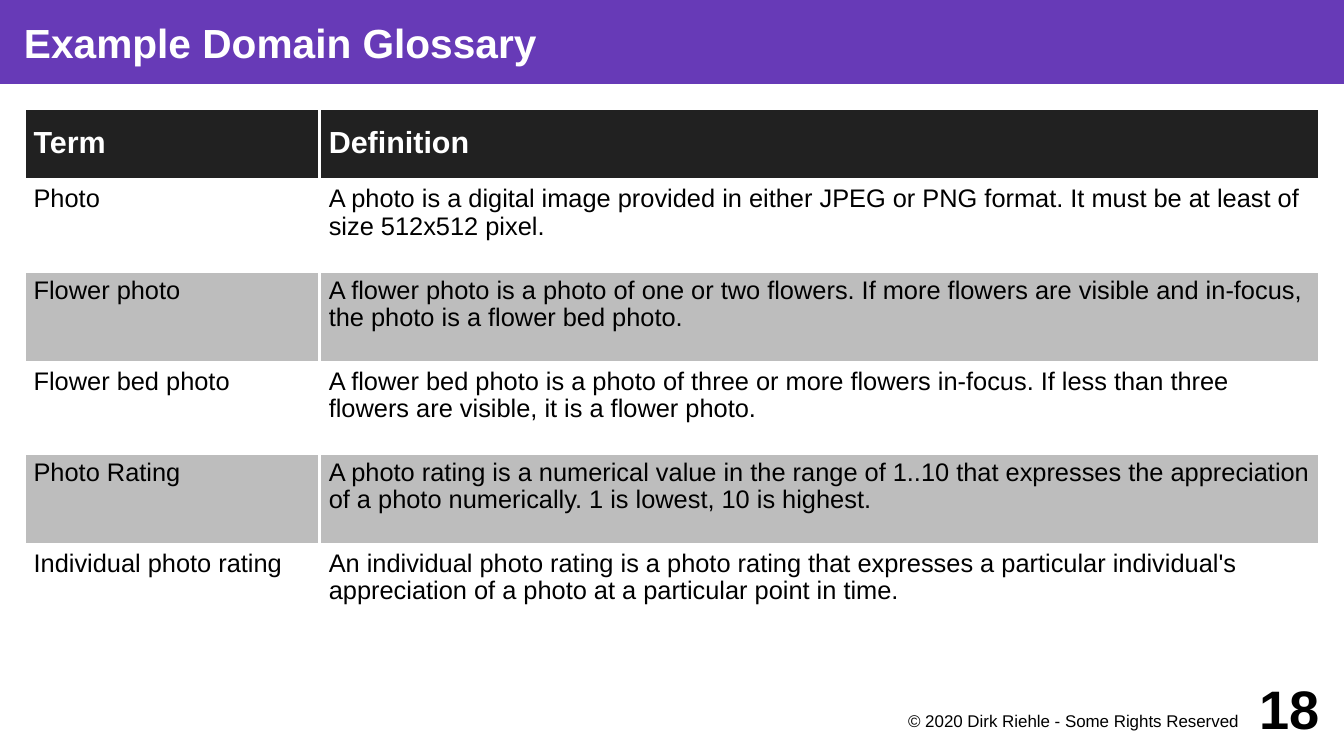
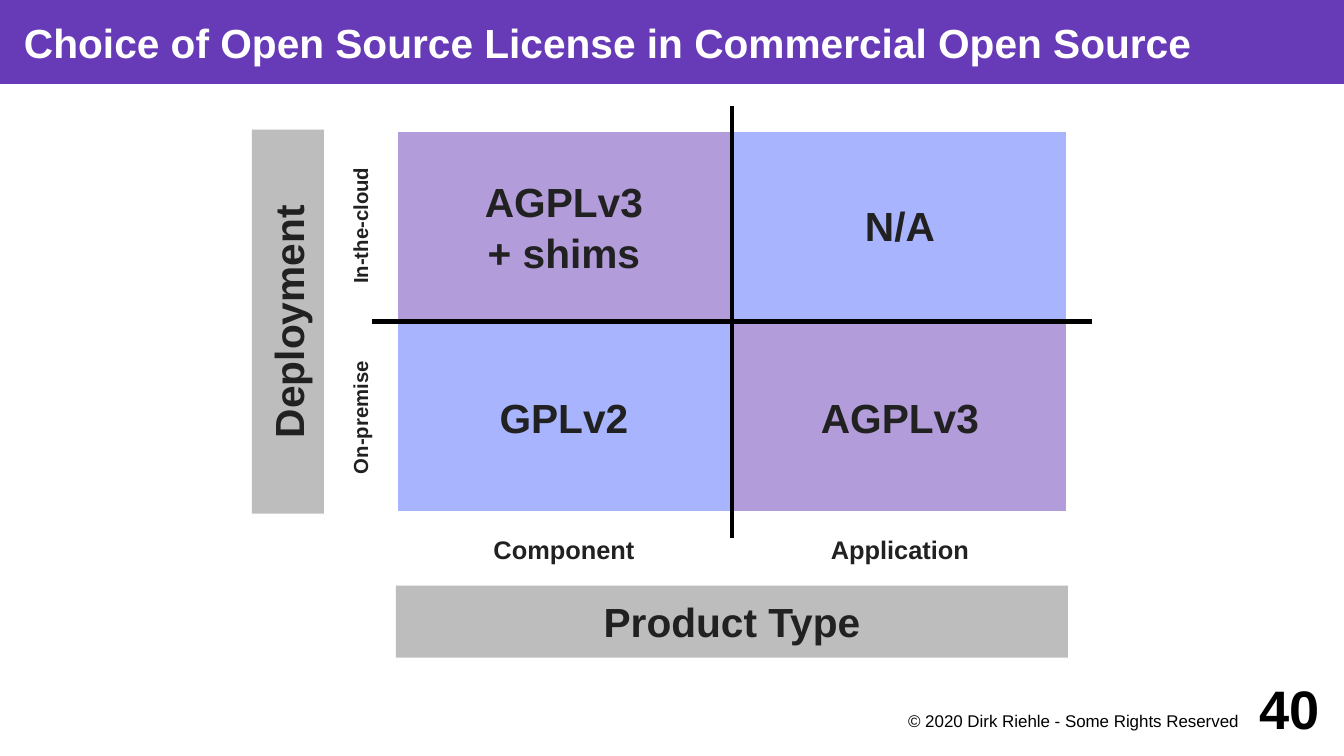
"""Build a glossary slide and a license matrix slide."""
from lxml import etree
from pptx import Presentation
from pptx import util as u
from pptx.dml.color import RGBColor
from pptx.enum import shapes, text
from pptx.oxml import parse_xml
from pptx.oxml.ns import nsdecls, qn

PURPLE = RGBColor(0x67, 0x3A, 0xB7)
BLUE = RGBColor(0x53, 0x6D, 0xFE)
GREY = RGBColor(0xBD, 0xBD, 0xBD)
DARK = RGBColor(0x21, 0x21, 0x21)
BLACK = RGBColor(0, 0, 0)
WHITE = RGBColor(0xFF, 0xFF, 0xFF)
FONT = "Arial"
LEFT, MID, RIGHT = text.PP_ALIGN.LEFT, text.PP_ALIGN.CENTER, text.PP_ALIGN.RIGHT
TOP, CENTER = text.MSO_ANCHOR.TOP, text.MSO_ANCHOR.MIDDLE
WIDE, HIGH = 28, 15.75


class Deck:
    """Hold the shared style and the current slide."""

    def __init__(self):
        self.prs = Presentation()
        self.prs.slide_width, self.prs.slide_height = u.Cm(WIDE), u.Cm(HIGH)
        self.slide = None

    def start(self, title, page):
        """Add a slide with its title band, footer and page number."""
        self.slide = self.prs.slides.add_slide(self.prs.slide_layouts[5])
        band = self.slide.shapes.title
        band.left, band.top, band.width, band.height = map(u.Cm, (0, 0, WIDE, 1.75))
        band.fill.solid()
        band.fill.fore_color.rgb = PURPLE
        self.fill_text(band.text_frame, [title], 24, WHITE, True, LEFT, pad=(0.5, 0, 0, 0))
        self.label((18, 14.75, 8, 0.75), "© 2020 Dirk Riehle - Some Rights Reserved",
                   10, BLACK, False, RIGHT, TOP, (0, 0.05, 0.2, 0))
        self.label((25.5, 14, 2, 1.5), str(page), 32, BLACK, True, RIGHT)

    def fill_text(self, frame, lines, size, color=DARK, bold=True, align=MID,
                  anchor=CENTER, pad=(0, 0, 0, 0), space=1.0):
        """Fill a text frame, one paragraph for each line."""
        frame.auto_size = text.MSO_AUTO_SIZE.NONE
        frame.word_wrap = True
        frame.vertical_anchor = anchor
        (frame.margin_left, frame.margin_top,
         frame.margin_right, frame.margin_bottom) = map(u.Cm, pad)
        for i, line in enumerate(lines):
            para = frame.add_paragraph() if i else frame.paragraphs[0]
            self.add_run(para, line, size, color, bold, align, space)

    def add_run(self, para, line, size, color, bold, align, space):
        """Add one styled run to a paragraph."""
        para.alignment, para.line_spacing = align, space
        run = para.add_run()
        run.text = line
        font = run.font
        font.name, font.size, font.bold = FONT, u.Pt(size), bold
        font.color.rgb = color

    def label(self, area, line, size, *style, turn=0):
        """Add a plain text box."""
        box = self.slide.shapes.add_textbox(*map(u.Cm, area))
        box.rotation = turn
        self.fill_text(box.text_frame, [line], size, *style)

    def block(self, area, lines, fill, alpha=None, edge=None, turn=0):
        """Add a filled rectangle with centred text."""
        box = self.slide.shapes.add_shape(shapes.MSO_SHAPE.RECTANGLE, *map(u.Cm, area))
        box.shadow.inherit = False
        box.rotation = turn
        box.fill.solid()
        box.fill.fore_color.rgb = fill
        if alpha:
            tint = box._element.spPr.find(qn("a:solidFill"))[0]
            etree.SubElement(tint, qn("a:alpha"), val=str(alpha * 1000))
        if edge:
            box.line.color.rgb, box.line.width = edge, u.Pt(2.83)
        else:
            box.line.fill.background()
        self.fill_text(box.text_frame, lines, 24, space=1.05 if len(lines) > 1 else 1.0)

    def rule(self, *ends):
        """Add a straight black line."""
        line = self.slide.shapes.add_connector(shapes.MSO_CONNECTOR.STRAIGHT, *map(u.Cm, ends))
        line.line.color.rgb, line.line.width = BLACK, u.Pt(2.83)
        etree.SubElement(line._element.spPr, qn("a:effectLst"))

    def table(self, area, cols, highs, rows):
        """Add a table with a dark head and grey alternate rows."""
        grid = self.slide.shapes.add_table(len(rows), len(cols), *map(u.Cm, area)).table
        grid.horz_banding = False
        for col, wide in zip(grid.columns, cols):
            col.width = u.Cm(wide)
        for r, (row, high) in enumerate(zip(rows, highs)):
            grid.rows[r].height = u.Cm(high)
            head = r == 0
            fill = DARK if head else WHITE if r % 2 else GREY
            for c, words in enumerate(row):
                cell = grid.cell(r, c)
                cell.fill.solid()
                cell.fill.fore_color.rgb = fill
                self.frame(cell)
                cell.vertical_anchor = CENTER if head else TOP
                cell.margin_left = cell.margin_right = u.Cm(0.2)
                cell.margin_top = cell.margin_bottom = u.Cm(0.13)
                self.add_run(cell.text_frame.paragraphs[0], words, 18 if head else 15,
                             WHITE if head else BLACK, head, LEFT, 0.96)

    def frame(self, cell):
        """Give a cell white borders."""
        props = cell._tc.get_or_add_tcPr()
        for i, side in enumerate("LRTB"):
            props.insert(i, parse_xml(
                f'<a:ln{side} {nsdecls("a")} w="{u.Pt(2.27)}"><a:solidFill>'
                f'<a:srgbClr val="{WHITE}"/></a:solidFill></a:ln{side}>'))


TERMS = [
    ("Term", "Definition"),
    ("Photo", "A photo is a digital image provided in either JPEG or PNG format. "
     "It must be at least of size 512x512 pixel."),
    ("Flower photo", "A flower photo is a photo of one or two flowers. If more flowers "
     "are visible and in-focus, the photo is a flower bed photo."),
    ("Flower bed photo", "A flower bed photo is a photo of three or more flowers in-focus. "
     "If less than three flowers are visible, it is a flower photo."),
    ("Photo Rating", "A photo rating is a numerical value in the range of 1..10 that expresses "
     "the appreciation of a photo numerically. 1 is lowest, 10 is highest."),
    ("Individual photo rating", "An individual photo rating is a photo rating that expresses "
     "a particular individual's appreciation of a photo at a particular point in time."),
]
CELLS = [[["AGPLv3", "+ shims"], ["N/A"]], [["GPLv2"], ["AGPLv3"]]]


def terms(deck):
    """Build the glossary slide."""
    deck.start("Example Domain Glossary", 18)
    deck.table((0.5, 2.25, 27, 11), (6.15, 20.85), [1.5] + [1.9] * 5, TERMS)


def matrix(deck):
    """Build the license matrix slide."""
    deck.start("Choice of Open Source License in Commercial Open Source", 40)
    left, top, wide, high, bar = 8.25, 2.7, 7, 4, 1.5
    mid_x, mid_y, base = left + wide, top + high, top + 2 * high
    for r, row in enumerate(CELLS):
        for c, lines in enumerate(row):
            deck.block((left + c * wide, top + r * high, wide, high), lines,
                       PURPLE if r == c else BLUE, 50, WHITE)
    deck.rule(left - 0.5, mid_y, left + 2 * wide + 0.5, mid_y)
    for c, name in enumerate(("Component", "Application")):
        deck.label((left + c * wide, base, wide, bar), name, 15)
    deck.block((left, base + bar, 2 * wide, bar), ["Product Type"], GREY)
    for r, name in enumerate(("In-the-cloud", "On-premise")):
        deck.label((5.5, top + (r + 0.5) * high - bar / 2, high, bar), name, 12, turn=270)
    deck.block((2, mid_y - bar / 2, 2 * high, bar), ["Deployment"], GREY, turn=270)
    deck.rule(mid_x, base + 0.5, mid_x, top - 0.5)


def main():
    """Build and save both slides."""
    deck = Deck()
    terms(deck)
    matrix(deck)
    deck.prs.save("out.pptx")


if __name__ == "__main__":
    main()
